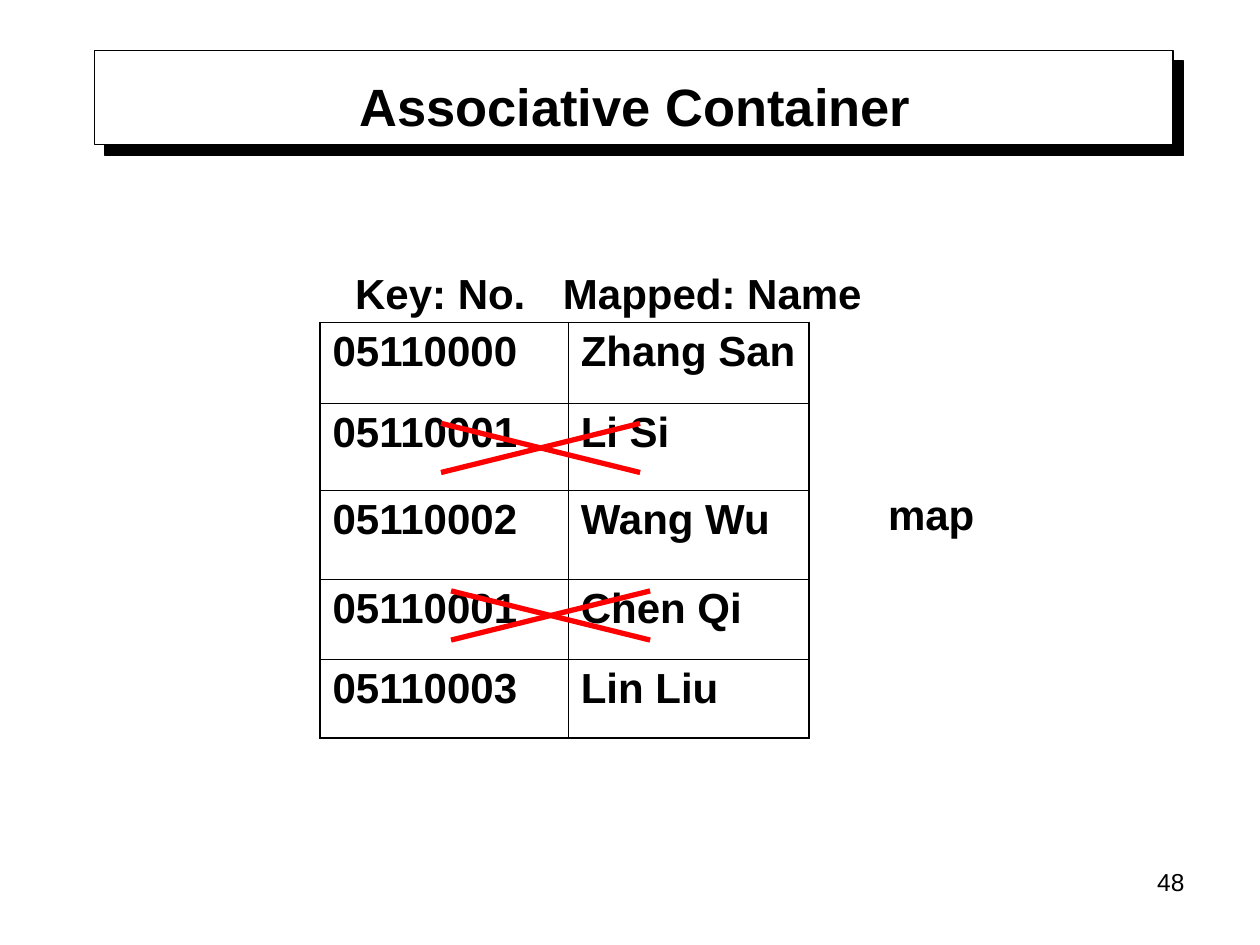
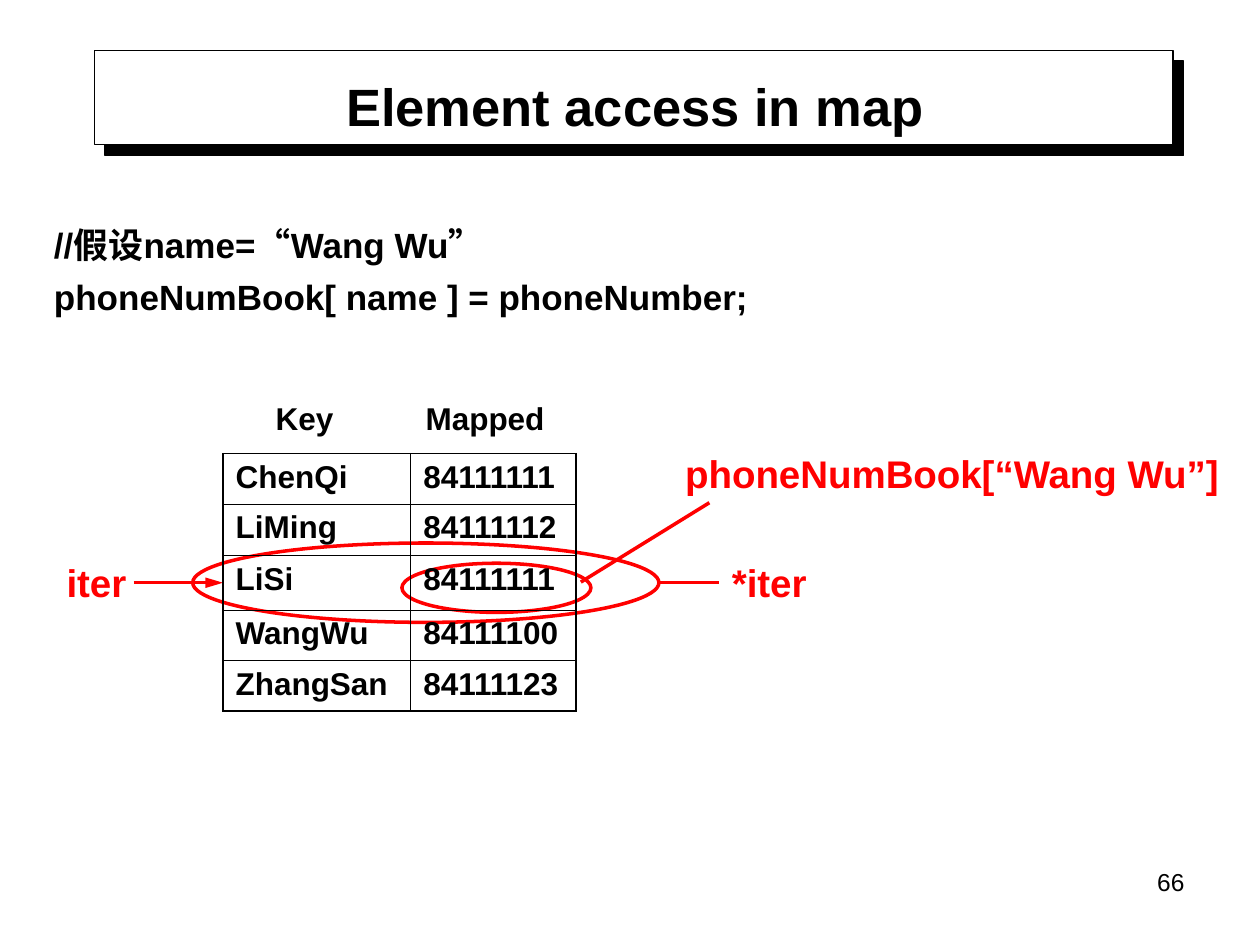
from dataclasses import dataclass

from lxml import etree
from pptx import Presentation
from pptx.dml.color import RGBColor
from pptx.enum.shapes import MSO_CONNECTOR, MSO_SHAPE
from pptx.enum.text import MSO_ANCHOR, MSO_AUTO_SIZE, PP_ALIGN
from pptx.oxml import parse_xml
from pptx.oxml.ns import nsdecls, qn
from pptx.shapes.autoshape import Shape
from pptx.shapes.connector import Connector
from pptx.slide import Slide
from pptx.table import _Cell as Cell
from pptx.util import Inches, Pt

BLACK = RGBColor(0x00, 0x00, 0x00)
WHITE = RGBColor(0xFF, 0xFF, 0xFF)
RED = RGBColor(0xFF, 0x00, 0x00)
FONT = "Arial"
OUTER_BORDER = 1.08
INNER_BORDER = 0.45


@dataclass(frozen=True)
class Label:
    text: str
    left: float
    top: float
    width: float
    height: float
    size: float
    color: RGBColor = BLACK
    bold: bool = True
    wrap: bool = False
    align: PP_ALIGN = PP_ALIGN.LEFT
    anchor: MSO_ANCHOR = MSO_ANCHOR.TOP
    line_spacing: float = 1.0


@dataclass(frozen=True)
class MapTable:
    left: float
    top: float
    column_widths: tuple[float, ...]
    row_heights: tuple[float, ...]
    entries: tuple[tuple[str, str], ...]
    size: float


def add_label(slide: Slide, label: Label) -> Shape:
    box = slide.shapes.add_textbox(
        Inches(label.left), Inches(label.top), Inches(label.width), Inches(label.height)
    )
    frame = box.text_frame
    frame.word_wrap = label.wrap
    frame.auto_size = MSO_AUTO_SIZE.NONE if label.wrap else MSO_AUTO_SIZE.SHAPE_TO_FIT_TEXT
    frame.vertical_anchor = label.anchor
    frame.text = label.text
    for paragraph in frame.paragraphs:
        paragraph.alignment = label.align
        paragraph.line_spacing = label.line_spacing
        for run in paragraph.runs:
            format_font(run.font, label.size, label.color, label.bold)
    return box


def format_font(font, size: float, color: RGBColor, bold: bool) -> None:
    font.name = FONT
    font.size = Pt(size)
    font.bold = bold
    font.color.rgb = color


def add_title_frame(slide: Slide) -> None:
    """Draw the white title band with its hard black shadow."""
    frame = slide.shapes.add_shape(
        MSO_SHAPE.RECTANGLE, Inches(0.75), Inches(0.4), Inches(8.56), Inches(0.75)
    )
    frame.fill.solid()
    frame.fill.fore_color.rgb = WHITE
    frame.line.color.rgb = BLACK
    frame.line.width = Pt(0.75)
    frame.shadow.inherit = False
    effects = frame._element.spPr.find(qn("a:effectLst"))
    effects.append(parse_xml(
        f'<a:outerShdw {nsdecls("a")} blurRad="0" dist="{Pt(8.5)}" dir="2700000" '
        f'algn="ctr" rotWithShape="0"><a:srgbClr val="{BLACK}"/></a:outerShdw>'
    ))


def add_base_slide(presentation: Presentation, title: str, number: int) -> Slide:
    slide = presentation.slides.add_slide(presentation.slide_layouts[6])
    add_title_frame(slide)
    add_label(slide, Label(str(number), 7.17, 6.83, 2.33, 0.52, 14, bold=False,
                           wrap=True, align=PP_ALIGN.RIGHT))
    add_label(slide, Label(title, 0.75, 0.52, 8.58, 0.63, 30, wrap=True,
                           align=PP_ALIGN.CENTER, anchor=MSO_ANCHOR.MIDDLE))
    return slide


def set_borders(cell: Cell, outer_sides: dict[str, bool]) -> None:
    """Add border lines, thicker on the sides at the edge of the table."""
    properties = cell._tc.get_or_add_tcPr()
    for index, (side, is_outer) in enumerate(outer_sides.items()):
        width = Pt(OUTER_BORDER if is_outer else INNER_BORDER)
        properties.insert(index, parse_xml(
            f'<a:ln{side} {nsdecls("a")} w="{width}"><a:solidFill>'
            f'<a:srgbClr val="{BLACK}"/></a:solidFill></a:ln{side}>'
        ))


def add_map_table(slide: Slide, data: MapTable) -> None:
    row_count, column_count = len(data.row_heights), len(data.column_widths)
    table = slide.shapes.add_table(
        row_count, column_count, Inches(data.left), Inches(data.top),
        Inches(sum(data.column_widths)), Inches(sum(data.row_heights)),
    ).table
    table.first_row = False
    table.horz_banding = False
    for column, width in zip(table.columns, data.column_widths):
        column.width = Inches(width)
    for row_index, (entry, height) in enumerate(zip(data.entries, data.row_heights)):
        table.rows[row_index].height = Inches(height)
        for column_index, text in enumerate(entry):
            cell = table.cell(row_index, column_index)
            cell.margin_right = Inches(0.08)
            cell.text_frame.text = text
            format_font(cell.text_frame.paragraphs[0].runs[0].font, data.size, BLACK, True)
            cell.fill.background()
            set_borders(cell, {
                "L": column_index == 0,
                "R": column_index == column_count - 1,
                "T": row_index == 0,
                "B": row_index == row_count - 1,
            })


def add_red_line(slide: Slide, start: tuple[float, float], end: tuple[float, float],
                 width: float = 2, arrow: bool = False) -> Connector:
    line = slide.shapes.add_connector(
        MSO_CONNECTOR.STRAIGHT, *(Inches(value) for value in (*start, *end))
    )
    line.line.color.rgb = RED
    line.line.width = Pt(width)
    if arrow:
        etree.SubElement(line.line._get_or_add_ln(), qn("a:tailEnd"),
                         type="triangle", w="med", len="lg")
    etree.SubElement(line._element.spPr, qn("a:effectLst"))
    return line


def add_cross(slide: Slide, left: float, top: float) -> None:
    right, bottom = left + 1.58, top + 0.39
    add_red_line(slide, (left, top), (right, bottom), width=3)
    add_red_line(slide, (left, bottom), (right, top), width=3)


def add_red_ellipse(slide: Slide, left: float, top: float, width: float, height: float) -> None:
    ellipse = slide.shapes.add_shape(
        MSO_SHAPE.OVAL, Inches(left), Inches(top), Inches(width), Inches(height)
    )
    ellipse.fill.background()
    ellipse.line.color.rgb = RED
    ellipse.line.width = Pt(2)
    ellipse.shadow.inherit = False


def build_container_slide(presentation: Presentation) -> None:
    slide = add_base_slide(presentation, "Associative Container", 48)
    add_map_table(slide, MapTable(
        2.54, 2.56, (1.97, 1.91), (0.64, 0.69, 0.71, 0.63, 0.63),
        (
            ("05110000", "Zhang San"),
            ("05110001", "Li Si"),
            ("05110002", "Wang Wu"),
            ("05110001", "Chen Qi"),
            ("05110003", "Lin Liu"),
        ),
        24,
    ))
    for text, left, top, width in (
        ("Key: No.", 2.72, 2.07, 1.64),
        ("Mapped: Name", 4.37, 2.07, 2.66),
        ("map", 6.95, 3.83, 0.9),
    ):
        add_label(slide, Label(text, left, top, width, 0.5, 24, anchor=MSO_ANCHOR.MIDDLE))
    add_cross(slide, 3.5, 3.36)
    add_cross(slide, 3.58, 4.69)


def build_access_slide(presentation: Presentation) -> None:
    slide = add_base_slide(presentation, "Element access in map", 66)
    add_label(slide, Label(
        "//假设name=“Wang Wu”\nphoneNumBook[ name ] = phoneNumber;",
        0.33, 1.64, 5.71, 0.94, 20, line_spacing=1.25,
    ))

    add_red_ellipse(slide, 3.19, 4.47, 1.5, 0.39)
    add_red_line(slide, (4.61, 4.62), (5.63, 3.99))
    add_label(slide, Label("phoneNumBook[“Wang Wu”]", 5.34, 3.52, 4.53, 0.47, 22, RED))

    iter_top, iter_height = 4.39, 0.47
    iter_middle = iter_top + iter_height / 2
    dereferenced = add_label(
        slide, Label("*iter", 5.71, iter_top, 0.79, iter_height, 22, RED)
    )
    add_red_ellipse(slide, 1.53, 4.31, 3.7, 0.63)
    add_red_line(slide, (5.24, iter_middle), (5.71, iter_middle)).end_connect(dereferenced, 1)

    add_label(slide, Label("iter", 0.43, iter_top, 0.7, iter_height, 22, RED))
    add_red_line(slide, (1.06, iter_middle), (1.77, iter_middle), arrow=True)

    for text, left, width in (("Key", 2.09, 0.73), ("Mapped", 3.28, 1.16)):
        add_label(slide, Label(text, left, 3.12, width, 0.4, 18, anchor=MSO_ANCHOR.MIDDLE))
    add_map_table(slide, MapTable(
        1.77, 3.6, (1.49, 1.31), (0.4, 0.41, 0.43, 0.4, 0.4),
        (
            ("ChenQi", "84111111"),
            ("LiMing", "84111112"),
            ("LiSi", "84111111"),
            ("WangWu", "84111100"),
            ("ZhangSan", "84111123"),
        ),
        18,
    ))


def main() -> None:
    presentation = Presentation()
    presentation.slide_width = Inches(10)
    presentation.slide_height = Inches(7.5)
    build_container_slide(presentation)
    build_access_slide(presentation)
    presentation.save("out.pptx")


if __name__ == "__main__":
    main()
